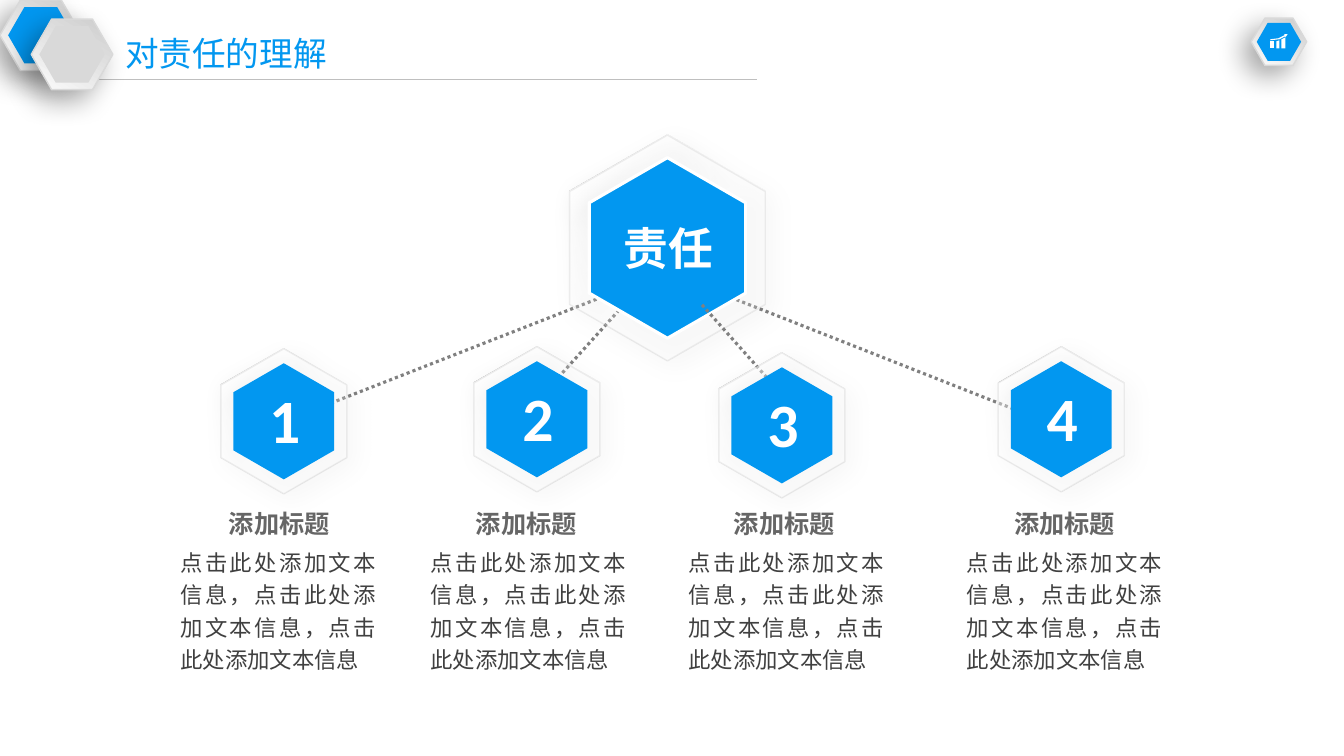
from lxml import etree
from pptx import Presentation
from pptx import util as u
from pptx.dml.color import RGBColor
from pptx.enum import dml, shapes, text
from pptx.oxml import parse_xml
from pptx.oxml.ns import nsdecls, qn

BLUE, WHITE, GREY = "0297F0", "FFFFFF", "D9D9D9"
CJK = "Noto Sans CJK SC"
INNER = 0.8  # share of a hexagon filled by its core
BODY = "，".join(["点击此处添加文本信息"] * 3)
METAL = [(0, "CCCCCC", 100), (100, "FCFCFC", 100)]
GLASS = [(15, WHITE, 87), (22, WHITE, 40), (50, WHITE, 10), (50, WHITE, 20)]
HUB = (5.65, 1.34, 1.94, 2.24)
# label, hexagon left and top, caption left, body left, line start, line end
COLUMNS = [
    ("1", 2.19, 3.46, 2.2, 1.72, (3.28, 4.0), (6.04, 2.92)),
    ("2", 4.7, 3.44, 4.65, 4.2, (5.37, 3.93), (6.2, 3.01)),
    ("3", 7.13, 3.5, 7.21, 6.76, (7.77, 3.93), (6.95, 3.01)),
    ("4", 9.9, 3.44, 9.99, 9.52, (10.11, 4.08), (7.17, 2.92)),
]
# hundredths of an inch from the corner of the badge
ARROW = [(33, 16), (33, 17), (27, 20), (19, 21), (19, 22), (28, 21),
         (34, 18), (34, 19), (36, 16)]
BARS = [(19, 23, 23, 23), (25, 28, 23, 22), (30, 34, 21, 19)]


def rgb(color):
    return RGBColor.from_string(color)


def inches(values):
    return [u.Inches(v) for v in values]


def core(box):
    """Return the centred inner share of a box."""
    x, y, w, h = box
    gap = (1 - INNER) / 2
    return x + w * gap, y + h * gap, w * INNER, h * INNER


def paint(sp, fill, line=None, width=1):
    sp.shadow.inherit = False
    sp.fill.solid()
    sp.fill.fore_color.rgb = rgb(fill)
    if line:
        sp.line.color.rgb = rgb(line)
        sp.line.width = u.Pt(width)
    else:
        sp.line.fill.background()


def gradient(sp, stops, angle):
    sp.fill.background()
    gs = "".join(
        f'<a:gs pos="{pos * 1000}"><a:srgbClr val="{color}">'
        f'<a:alpha val="{alpha * 1000}"/></a:srgbClr></a:gs>'
        for pos, color, alpha in stops)
    grad = parse_xml(f'<a:gradFill {nsdecls("a")} rotWithShape="1"><a:gsLst>{gs}</a:gsLst>'
                     f'<a:lin ang="{angle * 60000}" scaled="0"/></a:gradFill>')
    pr = sp._element.spPr
    pr.replace(pr.find(qn("a:noFill")), grad)


def shadow(sp, alpha, blur, dist, angle):
    effects = sp._element.spPr.find(qn("a:effectLst"))
    effects.append(parse_xml(
        f'<a:outerShdw {nsdecls("a")} blurRad="{u.Pt(blur)}" dist="{u.Pt(dist)}" '
        f'dir="{angle * 60000}" algn="ctr" rotWithShape="0"><a:srgbClr val="000000">'
        f'<a:alpha val="{alpha * 1000}"/></a:srgbClr></a:outerShdw>'))


def polygon(parent, points):
    pts = [inches(p) for p in points]
    builder = parent.build_freeform(*pts[0], scale=1.0)
    builder.add_line_segments(pts[1:], close=True)
    return builder.convert_to_shape()


def tall_hexagon(parent, box):
    x, y, w, h = box
    shares = [(.5, 1), (0, .75), (0, .25), (.5, 0), (1, .25), (1, .75)]
    return polygon(parent, [(x + w * a, y + h * b) for a, b in shares])


def flat_hexagon(parent, box):
    sp = parent.add_shape(shapes.MSO_SHAPE.HEXAGON, *inches(box))
    sp.adjustments[0] = 0.289
    return sp


def write(sp, words, size, color, font=CJK, bold=False, inset=(0.1, 0.05),
          align=text.PP_ALIGN.LEFT, anchor=text.MSO_ANCHOR.MIDDLE, spacing=None):
    tf = sp.text_frame
    tf.text = words
    tf.word_wrap = True
    tf.auto_size = text.MSO_AUTO_SIZE.NONE
    tf.vertical_anchor = anchor
    tf.margin_left = tf.margin_right = u.Inches(inset[0])
    tf.margin_top = tf.margin_bottom = u.Inches(inset[1])
    p = tf.paragraphs[0]
    p.alignment = align
    if spacing:
        p.line_spacing = spacing
    r = p.runs[0]
    r.font.size, r.font.bold, r.font.name = u.Pt(size), bold, font
    r.font.color.rgb = rgb(color)
    etree.SubElement(r._r.get_or_add_rPr(), qn("a:ea")).set("typeface", font)


def connect(s, start, end, color, width, dash=None):
    c = s.shapes.add_connector(shapes.MSO_CONNECTOR.STRAIGHT, *inches(start + end))
    c.line.color.rgb = rgb(color)
    c.line.width = u.Pt(width)
    if dash:
        c.line.dash_style = dash
    etree.SubElement(c._element.spPr, qn("a:effectLst"))


def metal_badge(parent, box, fill):
    rim = flat_hexagon(parent, box)
    paint(rim, WHITE, GREY)
    gradient(rim, METAL, 120)
    shadow(rim, 34, 20, 10, 136)
    paint(flat_hexagon(parent, core(box)), fill)


def glass_hexagon(s, box, edge=None):
    """Add a blue hexagon in a glass rim and return its group's shapes."""
    parent = s.shapes.add_group_shape().shapes
    rim = tall_hexagon(parent, box)
    paint(rim, WHITE, "C8C8C8")
    gradient(rim, GLASS, 45)
    shadow(rim, 15, 18, 7, 45)
    line_color = rim._element.spPr.find(qn("a:ln")).find(".//" + qn("a:srgbClr"))
    etree.SubElement(line_color, qn("a:alpha")).set("val", "30000")
    paint(tall_hexagon(parent, core(box)), BLUE, edge, 2.25)
    return parent


def header(s):
    connect(s, (0.81, 0.79), (7.51, 0.79), "BFBFBF", 1)
    corner = s.shapes.add_group_shape().shapes
    metal_badge(corner, (0, 0, 0.81, 0.7), BLUE)
    metal_badge(corner, (0.31, 0.19, 0.81, 0.7), GREY)
    title = s.shapes.title
    title.left, title.top, title.width, title.height = inches((1.14, 0.28, 2.68, 0.5))
    write(title, "对责任的理解", 24, BLUE)


def chart_badge(s, x, y):
    parent = s.shapes.add_group_shape().shapes
    metal_badge(parent, (x, y, 0.55, 0.47), BLUE)
    bars = [[(a, 30), (b, 30), (b, right), (a, left)] for a, b, left, right in BARS]
    for points in [ARROW] + bars:
        paint(polygon(parent, [(x + a / 100, y + b / 100) for a, b in points]), WHITE)


def hub(s, box):
    x, y, w, h = box
    parent = glass_hexagon(s, box, WHITE)
    label = parent.add_textbox(*inches((x + 0.44, y + 0.8, 1.19, 0.64)))
    write(label, "责任", 32, WHITE, bold=True)


def column(s, number, x, y, caption_x, body_x):
    parent = glass_hexagon(s, (x, y, 1.25, 1.44))
    label = parent.add_textbox(*inches((x + 0.04, y + 0.28, 1.19, 0.99)))
    write(label, number, 44, WHITE, "Calibri", True,
          align=text.PP_ALIGN.CENTER, anchor=text.MSO_ANCHOR.TOP)
    caption = s.shapes.add_textbox(*inches((caption_x, 5, 1.36, 0.38)))
    write(caption, "添加标题", 18, "666666", bold=True, inset=(0.07, 0.04))
    body = s.shapes.add_textbox(*inches((body_x, 5.35, 2.08, 1.37)))
    write(body, BODY, 16, "404040", inset=(0.07, 0.04), align=text.PP_ALIGN.JUSTIFY,
          anchor=text.MSO_ANCHOR.TOP, spacing=u.Pt(23.2))


def main():
    prs = Presentation()
    prs.slide_width, prs.slide_height = inches((13.33, 7.5))
    s = prs.slides.add_slide(prs.slide_layouts[5])
    header(s)
    chart_badge(s, 12.41, 0.18)
    dots = ("808080", 2.25, dml.MSO_LINE.ROUND_DOT)
    behind = [c for c in COLUMNS if c[0] != "3"]
    for *_, start, end in behind:
        connect(s, start, end, *dots)
    hub(s, HUB)
    connect(s, *COLUMNS[2][-2:], *dots)
    for *parts, _, _ in COLUMNS:
        column(s, *parts)
    prs.save("out.pptx")


if __name__ == "__main__":
    main()
